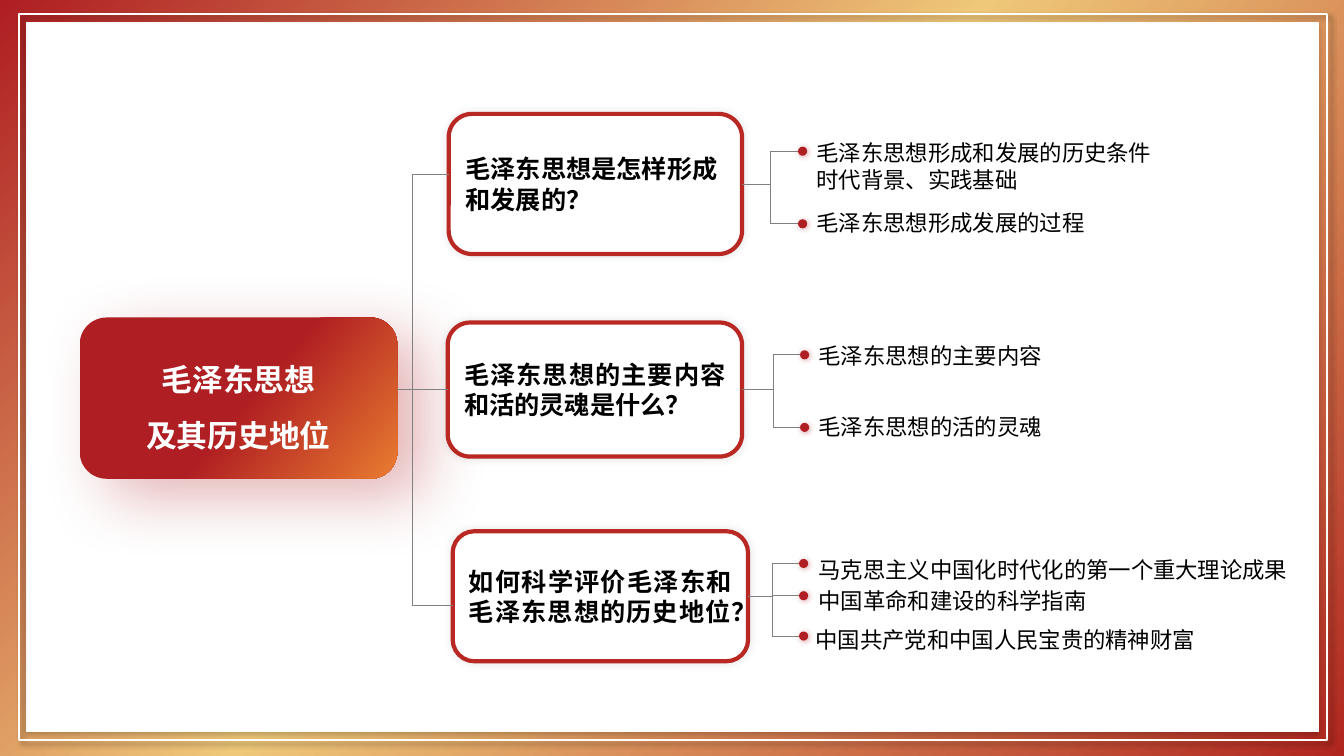
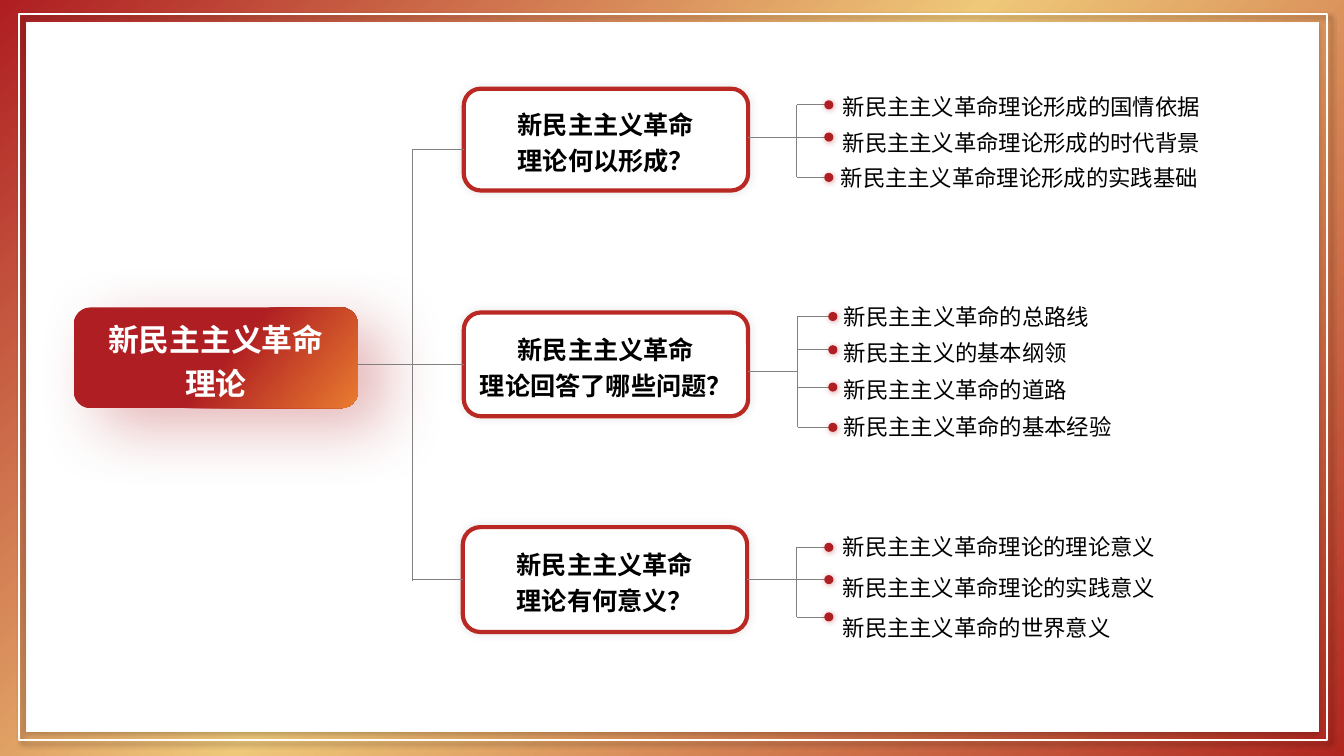
from collections import namedtuple

from lxml.etree import SubElement
from pptx import Presentation
from pptx.dml.color import RGBColor
from pptx.enum.shapes import MSO_CONNECTOR as CONNECTOR, MSO_SHAPE as SHAPE
from pptx.enum.text import MSO_ANCHOR as ANCHOR, PP_ALIGN as ALIGN
from pptx.oxml.ns import qn
from pptx.util import Inches, Pt

COLORS = {
    "white": "FFFFFF", "ink": "000000", "line": "808080",
    "red": "AF1E22", "deep_red": "B0261F", "border": "BA2823",
    "gold": "EFC879", "orange": "E97C30", "cream": "FFFDFA",
}
FONT = "Noto Sans CJK SC"
SLIDE_W, SLIDE_H = 13.33, 7.5
TRUNK_X = 4.09
DOT = 0.09
LEAF_W = 4.93
LINE_H = 0.27
TOP, LEFT, BOTTOM, RIGHT = range(4)

# Shadows: colour, opacity %, blur pt, distance pt, direction
Shadow = namedtuple("Shadow", "color opacity blur distance angle")
PANEL_SHADOW = Shadow("ink", 20, 4, 3, 90)
FRAME_SHADOW = Shadow("ink", 40, 4, 3, 45)
ROOT_SHADOW = Shadow("red", 33, 46, 23, 35)
TOPIC_SHADOW = Shadow("line", 20, 6, 0, 315)
DOT_SHADOW = Shadow("red", 40, 4, 1, 45)

# Content: leaves are text blocks, dots are the heights where twigs end
Root = namedtuple("Root", "box lines spacing trunk_y")
Leaf = namedtuple("Leaf", "x y lines spacing", defaults=(1,))
Topic = namedtuple("Topic", "box lines align spacing branch_y stem_y spine_x dot_x dots leaves")

THOUGHT = (
    Root((0.79, 3.15, 3.15, 1.6), ["毛泽东思想", "及其历史地位"], 1.5, 3.865),
    [
        Topic((4.45, 1.13, 2.91, 1.39), ["毛泽东思想是怎样形成和发展的？"],
              ALIGN.LEFT, 1, 1.73, 1.82, 7.64, 7.96, [1.5, 2.22],
              [Leaf(8, 1.33, ["毛泽东思想形成和发展的历史条件", "时代背景、实践基础"]),
               Leaf(8, 2.03, ["毛泽东思想形成发展的过程"])]),
        Topic((4.44, 3.2, 2.92, 1.33), ["毛泽东思想的主要内容和活的灵魂是什么？"],
              ALIGN.JUSTIFY, 1, 3.86, 3.87, 7.67, 7.98, [3.52, 4.24],
              [Leaf(8.02, 3.35, ["毛泽东思想的主要内容"]),
               Leaf(8.02, 4.05, ["毛泽东思想的活的灵魂"])]),
        Topic((4.49, 5.27, 2.93, 1.29), ["如何科学评价毛泽东和毛泽东思想的历史地位？"],
              ALIGN.JUSTIFY, 1, 6.01, 5.91, 7.66, 7.97, [5.59, 5.91, 6.31],
              [Leaf(8.02, 5.33, ["马克思主义中国化时代化的第一个重大理论成果"], 1.5),
               Leaf(8.02, 5.78, ["中国革命和建设的科学指南"]),
               Leaf(7.99, 6.03, ["中国共产党和中国人民宝贵的精神财富"], 1.5)]),
    ],
)
REVOLUTION = (
    Root((0.73, 3.05, 2.82, 1), ["新民主主义革命", "理论"], 1.2, 3.615),
    [
        Topic((4.6, 0.88, 2.82, 1.01), ["新民主主义革命", "理论何以形成？"],
              ALIGN.CENTER, 1.2, 1.48, 1.36, 7.9, 8.22, [1.04, 1.36, 1.76],
              [Leaf(8.26, 0.87, ["新民主主义革命理论形成的国情依据"]),
               Leaf(8.26, 1.23, ["新民主主义革命理论形成的时代背景"]),
               Leaf(8.24, 1.58, ["新民主主义革命理论形成的实践基础"])]),
        Topic((4.6, 3.1, 2.82, 1.03), ["新民主主义革命", "理论回答了哪些问题？"],
              ALIGN.CENTER, 1.2, 3.61, 3.68, 7.91, 8.26, [3.14, 3.47, 3.84, 4.24],
              [Leaf(8.27, 2.96, ["新民主主义革命的总路线"]),
               Leaf(8.27, 3.32, ["新民主主义的基本纲领"]),
               Leaf(8.27, 3.68, ["新民主主义革命的道路"]),
               Leaf(8.27, 4.05, ["新民主主义革命的基本经验"])]),
        Topic((4.59, 5.23, 2.82, 1.04), ["新民主主义革命", "理论有何意义？"],
              ALIGN.CENTER, 1.2, 5.76, 5.75, 7.9, 8.22, [5.43, 5.75, 6.12],
              [Leaf(8.26, 5.11, ["新民主主义革命理论的理论意义",
                                 "新民主主义革命理论的实践意义",
                                 "新民主主义革命的世界意义"], 1.5)]),
    ],
)


def rgb(name):
    return RGBColor.from_string(COLORS[name])


def add_color_stop(parent, tag, name, **attributes):
    node = SubElement(parent, qn(tag), **attributes)
    return SubElement(node, qn("a:srgbClr"), val=COLORS[name])


def add_panel(slide, kind, box, fill=None, border=None, width=0, shadow=None):
    panel = slide.shapes.add_shape(kind, *map(Inches, box))
    if fill:
        panel.fill.solid()
        panel.fill.fore_color.rgb = rgb(fill)
    else:
        panel.fill.background()
    if border:
        panel.line.color.rgb = rgb(border)
        panel.line.width = Pt(width)
    else:
        panel.line.fill.background()
    panel.shadow.inherit = False
    if shadow:
        effects = panel.element.spPr.find(qn("a:effectLst"))
        tint = add_color_stop(effects, "a:outerShdw", shadow.color,
                              blurRad=str(Pt(shadow.blur)), dist=str(Pt(shadow.distance)),
                              dir=str(shadow.angle * 60000), algn="ctr", rotWithShape="0")
        SubElement(tint, qn("a:alpha"), val=str(shadow.opacity * 1000))
    return panel


def fill_gradient(panel, stops, angle):
    """Fill with (percent, colour) stops; the angle runs clockwise."""
    panel.fill.gradient()
    panel.fill.gradient_angle = 360 - angle
    stop_list = panel.element.spPr.find(qn("a:gradFill")).find(qn("a:gsLst"))
    stop_list.clear()
    for percent, name in stops:
        add_color_stop(stop_list, "a:gs", name, pos=str(percent * 1000))


def write_lines(shape, lines, size, color, align=ALIGN.LEFT, spacing=1, bold=False,
                anchor=ANCHOR.MIDDLE):
    frame = shape.text_frame
    frame.word_wrap = True
    frame.vertical_anchor = anchor
    for index, line in enumerate(lines):
        paragraph = frame.add_paragraph() if index else frame.paragraphs[0]
        paragraph.alignment = align
        paragraph.line_spacing = spacing
        run = paragraph.add_run()
        run.text = line
        run.font.size = Pt(size)
        run.font.bold = bold
        run.font.color.rgb = rgb(color)
        run.font.name = FONT
        SubElement(run.font._element, qn("a:ea"), typeface=FONT)


def add_line(slide, x1, y1, x2, y2):
    line = slide.shapes.add_connector(CONNECTOR.STRAIGHT, *map(Inches, (x1, y1, x2, y2)))
    line.line.color.rgb = rgb("line")
    line.line.width = Pt(0.5)
    SubElement(line.element.spPr, qn("a:effectLst"))
    return line


def link_box(slide, panel, box, side, x, y):
    """Draw a level line from x to a side of the box, joined if it meets the middle."""
    left, top, width, height = box
    edge = left if side == LEFT else left + width
    middle = top + height / 2
    joined = abs(y - middle) < 0.02
    if joined:
        y = middle
    line = add_line(slide, x, y, edge, y)
    if joined:
        line.end_connect(panel, side)


def add_leaf(slide, leaf):
    height = len(leaf.lines) * LINE_H * leaf.spacing + 0.1
    label = slide.shapes.add_textbox(*map(Inches, (leaf.x, leaf.y, LEAF_W, height)))
    write_lines(label, leaf.lines, 16, "ink", spacing=leaf.spacing, anchor=ANCHOR.TOP)


def add_topic(slide, topic):
    panel = add_panel(slide, SHAPE.ROUNDED_RECTANGLE, topic.box, "white", "border", 3, TOPIC_SHADOW)
    write_lines(panel, topic.lines, 18, "ink", topic.align, topic.spacing, bold=True)
    link_box(slide, panel, topic.box, LEFT, TRUNK_X, topic.branch_y)
    link_box(slide, panel, topic.box, RIGHT, topic.spine_x, topic.stem_y)
    # Spine, twigs and dots
    add_line(slide, topic.spine_x, topic.dots[0], topic.spine_x, topic.dots[-1])
    for y in topic.dots:
        add_line(slide, topic.spine_x, y, topic.dot_x, y)
        add_panel(slide, SHAPE.OVAL, (topic.dot_x - DOT / 2, y - DOT / 2, DOT, DOT),
                  "red", shadow=DOT_SHADOW)
    for leaf in topic.leaves:
        add_leaf(slide, leaf)


def add_mind_map(slide, root, topics):
    panel = add_panel(slide, SHAPE.ROUNDED_RECTANGLE, root.box, shadow=ROOT_SHADOW)
    fill_gradient(panel, [(52, "red"), (100, "orange")], 40)
    write_lines(panel, root.lines, 22, "white", ALIGN.CENTER, root.spacing, bold=True)
    # Trunk
    link_box(slide, panel, root.box, RIGHT, TRUNK_X, root.trunk_y)
    add_line(slide, TRUNK_X, topics[0].branch_y, TRUNK_X, topics[-1].branch_y)
    for topic in topics:
        add_topic(slide, topic)


def frame_layout(layout, slide):
    """Draw the shared backdrop on a slide and move it to the layout."""
    for placeholder in list(layout.placeholders):
        layout.shapes.element.remove(placeholder.element)
    backdrop = add_panel(slide, SHAPE.RECTANGLE, (0, 0, SLIDE_W, SLIDE_H))
    fill_gradient(backdrop, [(0, "deep_red"), (53, "gold"), (100, "red")], 225)
    page = add_panel(slide, SHAPE.RECTANGLE, (0.26, 0.22, 12.82, 7.04), "white",
                     shadow=PANEL_SHADOW)
    border = add_panel(slide, SHAPE.RECTANGLE, (0.19, 0.14, 12.97, 7.2), None, "cream", 1.5,
                       FRAME_SHADOW)
    for part in (backdrop, page, border):
        layout.shapes.element.append(part.element)


def main():
    deck = Presentation()
    deck.slide_width, deck.slide_height = Inches(SLIDE_W), Inches(SLIDE_H)
    blank = deck.slide_layouts[6]
    slides = [deck.slides.add_slide(blank) for _ in range(2)]
    frame_layout(blank, slides[0])
    for slide, (root, topics) in zip(slides, (THOUGHT, REVOLUTION)):
        add_mind_map(slide, root, topics)
    deck.save("out.pptx")


if __name__ == "__main__":
    main()
